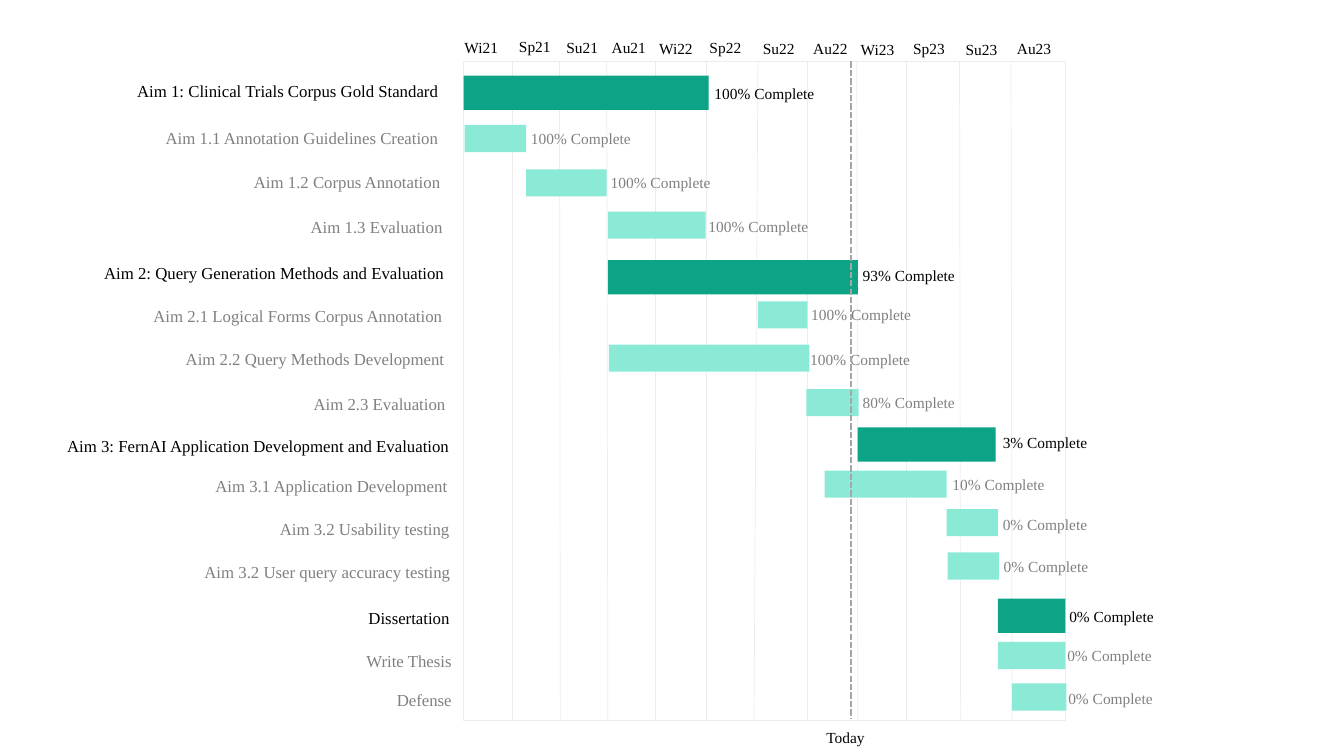
from lxml import etree
from pptx import Presentation
from pptx.dml.color import RGBColor
from pptx.enum import dml, shapes, text
from pptx.oxml.ns import qn
from pptx.util import Pt

FONT = "Times New Roman"
BLACK = RGBColor(0x00, 0x00, 0x00)
GREY = RGBColor(0x80, 0x80, 0x80)
GRID = RGBColor(0xED, 0xED, 0xED)
TODAY = RGBColor(0xA6, 0xA6, 0xA6)
DARK_GREEN = RGBColor(0x0C, 0xA3, 0x86)
LIGHT_GREEN = RGBColor(0x8B, 0xEA, 0xD6)

# Quarter, left, top
QUARTERS = [
    ("Wi21", 324.7, 23.8), ("Sp21", 363.6, 23), ("Su21", 397.4, 23.8),
    ("Au21", 429.8, 23.8), ("Wi22", 463.7, 24.5), ("Sp22", 499.7, 23.8),
    ("Su22", 537.8, 24.5), ("Au22", 573.8, 24.5), ("Wi23", 607.7, 25.2),
    ("Sp23", 645.1, 24.5), ("Su23", 682.6, 25.2), ("Au23", 719.3, 24.5),
]
QUARTER_WIDTHS = {"W": 38.9, "S": 37.4, "A": 39.6}

# Quarter boundaries: x at the top, x at the bottom
BOUNDARIES = [
    (365.8, 365.8), (399.6, 400.3), (433.4, 434.2), (468, 468),
    (504.7, 504.7), (541.4, 538.6), (576.7, 576.7), (612, 612.7),
    (647.3, 647.3), (685.4, 686.2), (722.2, 722.9),
]

# Main aim?, label, (right, top, width), bar (left, top, width),
# status, (left, top)
TASKS = [
    (True, "Aim 1: Clinical Trials Corpus Gold Standard", (320.4, 54, 232.6),
     (331.2, 54, 175), "100% Complete", (503.3, 56.2)),
    (False, "Aim 1.1 Annotation Guidelines Creation", (320.4, 87.8, 211.7),
     (331.9, 89.3, 43.9), "100% Complete", (372.2, 88.6)),
    (False, "Aim 1.2 Corpus Annotation", (321.8, 118.8, 149),
     (375.8, 121, 57.6), "100% Complete", (429.1, 120.2)),
    (False, "Aim 1.3 Evaluation", (323.3, 151.2, 110.2),
     (434.2, 151.2, 69.8), "100% Complete", (499, 151.2)),
    (True, "Aim 2: Query Generation Methods and Evaluation", (324.7, 184.3, 260.6),
     (434.2, 185.8, 178.6), "93% Complete", (609.1, 186.5)),
    (False, "Aim 2.1 Logical Forms Corpus Annotation", (323.3, 214.6, 223.2),
     (541.4, 215.3, 35.3), "100% Complete", (572.4, 214.6)),
    (False, "Aim 2.2 Query Methods Development", (324.7, 245.5, 201.6),
     (434.9, 246.2, 143.3), "100% Complete", (571.7, 246.2)),
    (False, "Aim 2.3 Evaluation", (325.4, 277.9, 110.2),
     (576, 277.9, 37.4), "80% Complete", (609.1, 277.2)),
    (True, "Aim 3: FernAI Application Development and Evaluation", (328.3, 307.4, 291.6),
     (612.7, 305.3, 98.6), "3% Complete", (709.2, 306)),
    (False, "Aim 3.1 Application Development", (326.9, 336.2, 182.9),
     (589, 336.2, 87.1), "10% Complete", (673.2, 335.5)),
    (False, "Aim 3.2 Usability testing", (328.3, 367.2, 137.5),
     (676.1, 363.6, 36.7), "0% Complete", (709.2, 364.3)),
    (False, "Aim 3.2 User query accuracy testing", (329, 397.4, 193),
     (676.8, 394.6, 36.7), "0% Complete", (709.9, 394.6)),
    (True, "Dissertation", (328.3, 430.6, 73.4),
     (712.8, 427.7, 48.2), "0% Complete", (756.7, 429.8)),
    (False, "Write Thesis", (329.8, 461.5, 76.3),
     (712.8, 458.6, 48.2), "0% Complete", (755.3, 457.9)),
    (False, "Defense", (329.8, 488.9, 54),
     (722.9, 488.2, 38.9), "0% Complete", (756, 488.9)),
]
CHART_LEFT, CHART_TOP, CHART_WIDTH, CHART_HEIGHT = 331.2, 43.9, 429.8, 470.9
CHART_BOTTOM = CHART_TOP + CHART_HEIGHT
TODAY_X = 607.7

presentation = Presentation()
presentation.slide_width, presentation.slide_height = Pt(960), Pt(540)
slide = presentation.slides.add_slide(presentation.slide_layouts[6])


def add_text(words, left, top, width, size, color, right=False, wrap=False):
    height = 21.6 if size == 12 else 20.9
    box = slide.shapes.add_textbox(Pt(left), Pt(top), Pt(width), Pt(height))
    frame = box.text_frame
    frame.word_wrap = wrap
    frame.auto_size = text.MSO_AUTO_SIZE.SHAPE_TO_FIT_TEXT
    paragraph = frame.paragraphs[0]
    paragraph.alignment = text.PP_ALIGN.RIGHT if right else text.PP_ALIGN.LEFT
    run = paragraph.add_run()
    run.text = words
    run.font.name, run.font.size = FONT, Pt(size)
    run.font.color.rgb = color


def add_rectangle(left, top, width, height):
    shape = slide.shapes.add_shape(
        shapes.MSO_SHAPE.RECTANGLE, Pt(left), Pt(top), Pt(width), Pt(height))
    shape.shadow.inherit = False
    return shape


def add_line(top_x, bottom_x, bottom, color, weight):
    line = slide.shapes.add_connector(
        shapes.MSO_CONNECTOR.STRAIGHT,
        Pt(top_x), Pt(CHART_TOP), Pt(bottom_x), Pt(bottom))
    line.line.color.rgb = color
    line.line.width = Pt(weight)
    etree.SubElement(line._element.spPr, qn("a:effectLst"))
    return line


# Chart frame and quarter grid
chart_frame = add_rectangle(CHART_LEFT, CHART_TOP, CHART_WIDTH, CHART_HEIGHT)
chart_frame.fill.background()
chart_frame.line.color.rgb = GRID
chart_frame.line.width = Pt(1)
for top_x, bottom_x in BOUNDARIES:
    add_line(top_x, bottom_x, CHART_BOTTOM, GRID, 0.5)
for quarter, left, top in QUARTERS:
    add_text(quarter, left, top, QUARTER_WIDTHS[quarter[0]], 11, BLACK)

# Tasks: label, bar and status
for main, label, (right, label_top, width), bar, status, status_at in TASKS:
    color = BLACK if main else GREY
    add_text(label, right - width, label_top, width, 12, color, right=True)
    task_bar = add_rectangle(*bar, 24.5 if main else 19.4)
    task_bar.fill.solid()
    task_bar.fill.fore_color.rgb = DARK_GREEN if main else LIGHT_GREEN
    task_bar.line.fill.background()
    add_text(status, *status_at, 22 + 5.5 * len(status), 11, color, wrap=True)

# Today marker
today_line = add_line(TODAY_X, TODAY_X, 513.4, TODAY, 1.5)
today_line.line.dash_style = dml.MSO_LINE.SQUARE_DOT
add_text("Today", 583.2, 516.2, 48.2, 11, BLACK, wrap=True)

presentation.save("out.pptx")
